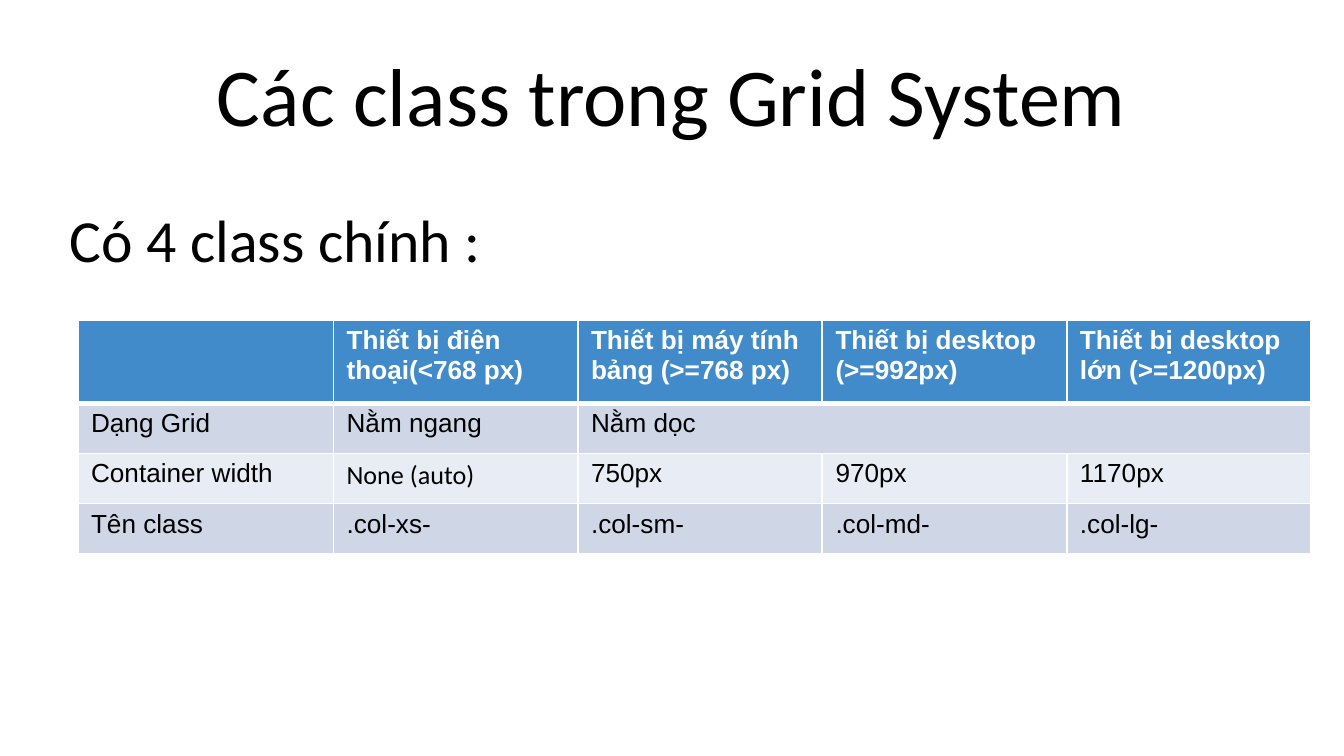
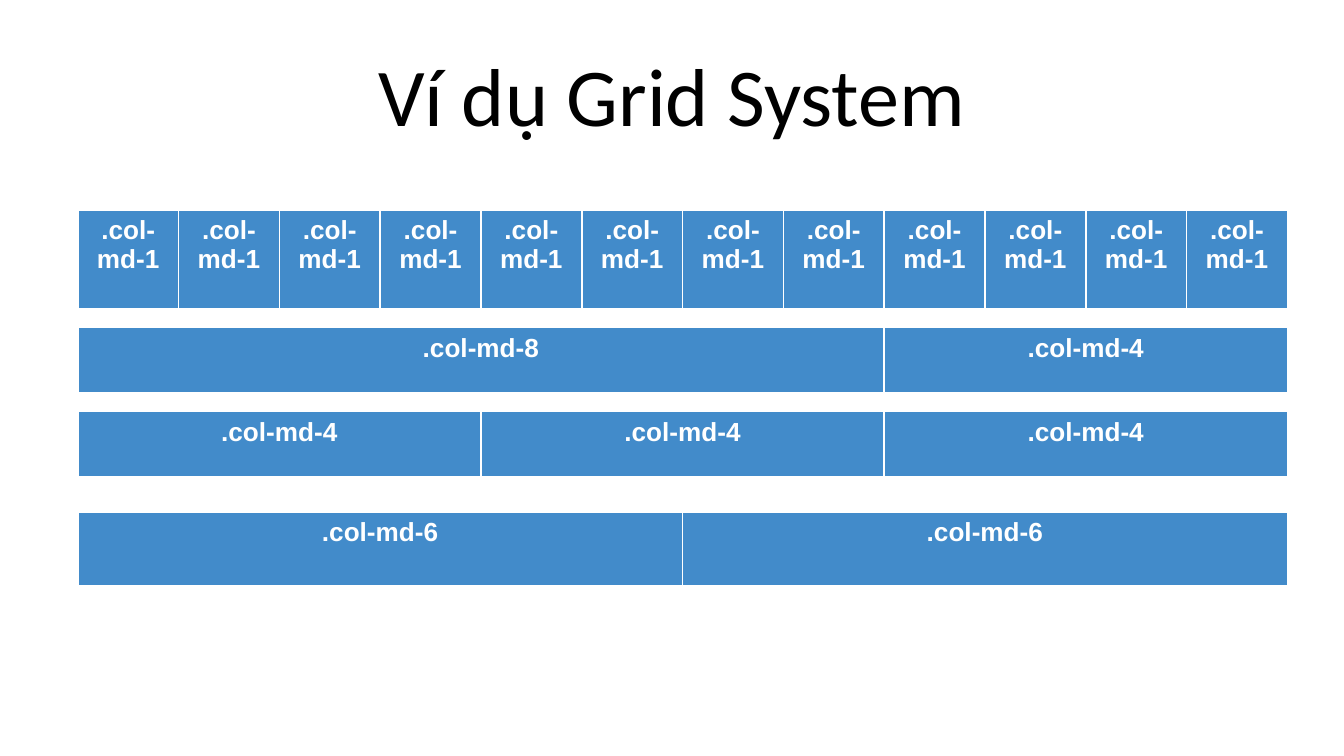
from dataclasses import dataclass

import lxml.etree
import pptx
import pptx.dml.color
import pptx.enum.text
import pptx.oxml.ns
import pptx.util

Cm = pptx.util.Cm
Pt = pptx.util.Pt
RGBColor = pptx.dml.color.RGBColor
Align = pptx.enum.text.PP_ALIGN
Anchor = pptx.enum.text.MSO_ANCHOR

# Shared look
BLUE = RGBColor(0x42, 0x8B, 0xCA)
BAND = RGBColor(0xCF, 0xD7, 0xE7)
PALE = RGBColor(0xE8, 0xEC, 0xF4)
WHITE = RGBColor(0xFF, 0xFF, 0xFF)
BLACK = RGBColor(0, 0, 0)
LEFT = 1.47
UNITS = 12
UNIT = 22.86 / UNITS


@dataclass(frozen=True)
class Style:
    size: float
    font: str = "Arial"
    color: RGBColor = BLACK
    bold: bool = False
    align: Align = Align.LEFT


@dataclass(frozen=True)
class Box:
    left: float
    top: float
    width: float
    height: float


@dataclass(frozen=True)
class Strip:
    """One row of the grid: its place and the units each column takes."""
    top: float
    height: float
    spans: tuple[int, ...]


TITLE = Style(44, "Calibri", align=Align.CENTER)
LEAD = Style(32, "Calibri")
HEAD = Style(14, color=WHITE, bold=True)
LABEL = Style(14, color=WHITE, bold=True, align=Align.CENTER)
PLAIN = Style(14)
AUTO = Style(14, "Calibri")

HEADS = ("", "Thiết bị điện thoại(<768 px)", "Thiết bị máy tính bảng (>=768 px)",
         "Thiết bị desktop (>=992px)", "Thiết bị desktop lớn (>=1200px)")
ROWS = (
    ("Dạng Grid", "Nằm ngang", "Nằm dọc", "", ""),
    ("Container width", "None (auto)", "750px", "970px", "1170px"),
    ("Tên class", ".col-xs-", ".col-sm-", ".col-md-", ".col-lg-"),
)
STRIPS = (
    Strip(3.97, 1.9, (1,) * UNITS),
    Strip(6.19, 1.27, (8, 4)),
    Strip(7.78, 1.27, (4, 4, 4)),
    Strip(9.68, 1.43, (6, 6)),
)


def write(frame: pptx.text.text.TextFrame, text: str, style: Style):
    """Put one styled run in the first paragraph."""
    para = frame.paragraphs[0]
    para.alignment = style.align
    run = para.add_run()
    run.text = text
    font = run.font
    font.size = Pt(style.size)
    font.name = style.font
    font.bold = style.bold
    font.color.rgb = style.color
    return para


def add_text(slide: pptx.slide.Slide, box: Box, text: str, style: Style,
             anchor: Anchor = Anchor.TOP):
    shape = slide.shapes.add_textbox(
        Cm(box.left), Cm(box.top), Cm(box.width), Cm(box.height))
    frame = shape.text_frame
    frame.word_wrap = True
    frame.vertical_anchor = anchor
    return write(frame, text, style)


def add_slide(deck: pptx.presentation.Presentation, title: str) -> pptx.slide.Slide:
    slide = deck.slides.add_slide(deck.slide_layouts[6])
    add_text(slide, Box(1.27, 0.58, 22.86, 2.39), title, TITLE, Anchor.MIDDLE)
    return slide


def add_edge(cell: pptx.table._Cell, side: str, points: float) -> None:
    name = pptx.oxml.ns.qn
    props = cell._tc.get_or_add_tcPr()
    line = lxml.etree.SubElement(props, name(f"a:ln{side}"), w=str(Pt(points)))
    fill = lxml.etree.SubElement(line, name("a:solidFill"))
    lxml.etree.SubElement(fill, name("a:srgbClr"), val=str(WHITE))


def paint(cell: pptx.table._Cell, text: str, style: Style, fill: RGBColor,
          top: float = 1, bottom: float = 1) -> None:
    """Set the edges, fill and text of a cell; edges must precede the fill."""
    for side, points in (("L", 1), ("R", 1), ("T", top), ("B", bottom)):
        add_edge(cell, side, points)
    cell.fill.solid()
    cell.fill.fore_color.rgb = fill
    cell.margin_left = cell.margin_right = Cm(0.25)
    cell.margin_top = cell.margin_bottom = Cm(0.11)
    if text:
        write(cell.text_frame, text, style)


def add_table(slide: pptx.slide.Slide, top: float, widths: list[float],
              heights: list[float]) -> pptx.table.Table:
    table = slide.shapes.add_table(
        len(heights), len(widths), Cm(LEFT), Cm(top),
        Cm(sum(widths)), Cm(sum(heights))).table
    for col, width in zip(table.columns, widths):
        col.width = Cm(width)
    for row, height in zip(table.rows, heights):
        row.height = Cm(height)
    return table


def add_strip(slide: pptx.slide.Slide, strip: Strip) -> None:
    widths = [span * UNIT for span in strip.spans]
    table = add_table(slide, strip.top, widths, [strip.height])
    for col, span in enumerate(strip.spans):
        paint(table.cell(0, col), f".col-md-{span}", LABEL, BLUE, bottom=3)


def build_class(deck: pptx.presentation.Presentation) -> None:
    slide = add_slide(deck, "Các class trong Grid System")
    para = add_text(slide, Box(1.07, 3.5, 23.95, 9.42), "Có 4 class chính :", LEAD)
    para.line_spacing = 1.15
    para.space_before = Pt(6.4)

    # Table of device classes
    table = add_table(slide, 6.05, [4.83] + [4.62] * 4, [1.57] + [0.95] * 3)
    for col, text in enumerate(HEADS):
        paint(table.cell(0, col), text, HEAD, BLUE, bottom=3)
    for row, texts in enumerate(ROWS, 1):
        fill = BAND if row % 2 else PALE
        for col, text in enumerate(texts):
            style = AUTO if text == "None (auto)" else PLAIN
            paint(table.cell(row, col), text, style, fill, top=3 if row == 1 else 1)
    table.cell(1, 2).merge(table.cell(1, 4))


def build_grid(deck: pptx.presentation.Presentation) -> None:
    slide = add_slide(deck, "Ví dụ Grid System")
    for strip in STRIPS:
        add_strip(slide, strip)


def main() -> None:
    deck = pptx.Presentation()
    deck.slide_width = Cm(25.4)
    deck.slide_height = Cm(14.29)
    build_class(deck)
    build_grid(deck)
    deck.save("out.pptx")


if __name__ == "__main__":
    main()
